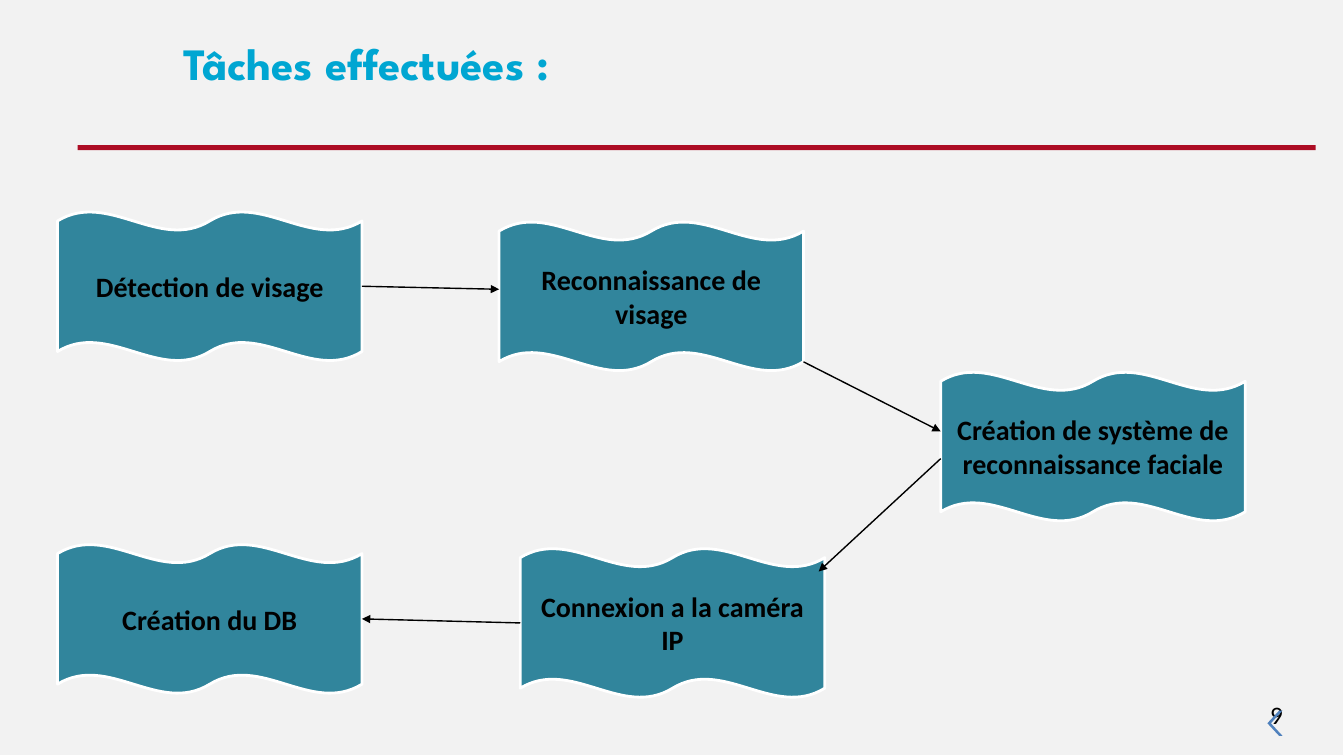
from lxml import etree
from pptx import Presentation
from pptx.dml.color import RGBColor
from pptx.enum.shapes import MSO_CONNECTOR, MSO_SHAPE
from pptx.enum.text import MSO_ANCHOR, MSO_AUTO_SIZE, PP_ALIGN
from pptx.oxml.ns import qn
from pptx.util import Inches, Pt

RECT, WAVE, CHEVRON = MSO_SHAPE.RECTANGLE, MSO_SHAPE.DOUBLE_WAVE, MSO_SHAPE.CHEVRON
STRAIGHT = MSO_CONNECTOR.STRAIGHT
MIDDLE, CENTER = MSO_ANCHOR.MIDDLE, PP_ALIGN.CENTER
GROW = MSO_AUTO_SIZE.SHAPE_TO_FIT_TEXT
LEFT, RIGHT = 1, 3

BLACK = RGBColor(0x00, 0x00, 0x00)
WHITE = RGBColor(0xFF, 0xFF, 0xFF)
GREY = RGBColor(0xF2, 0xF2, 0xF2)
TEAL = RGBColor(0x31, 0x85, 0x9C)
CYAN = RGBColor(0x00, 0xA6, 0xD2)
RED = RGBColor(0xAD, 0x0D, 0x25)
BLUE = RGBColor(0x4F, 0x81, 0xBD)

deck = Presentation()
deck.slide_width, deck.slide_height = Inches(13.33), Inches(7.5)
slide = deck.slides.add_slide(deck.slide_layouts[6])
shapes = slide.shapes


def add_form(kind, box, fill, width=0):
    """Add a filled shape, with a white outline if a width is given."""
    form = shapes.add_shape(kind, *map(Inches, box))
    form.shadow.inherit = False
    form.fill.solid()
    form.fill.fore_color.rgb = fill
    if width:
        form.line.color.rgb = WHITE
        form.line.width = Pt(width)
    else:
        form.line.fill.background()
    return form


def add_run(para, text, size, color, bold=True, face="Calibri"):
    run = para.add_run()
    run.text = text
    run.font.name, run.font.size, run.font.bold = face, Pt(size), bold
    run.font.color.rgb = color


# Backdrop, title and rule
add_form(RECT, (0, -0.12, 13.33, 7.62), GREY, 0.75)

title = shapes.add_textbox(Inches(1.72), Inches(0.45), Inches(6.46), Inches(0.48)).text_frame
title.word_wrap = True
title.auto_size = GROW
title.paragraphs[0].line_spacing = 0.7
add_run(title.paragraphs[0], "Tâches effectuées :", 32, CYAN, face="League Spartan")

add_form(RECT, (0.77, 1.44, 12.28, 0.05), RED)

# Page number
number = shapes.add_textbox(Inches(12.5), Inches(6.89), Inches(0.55), Inches(0.4)).text_frame
number.word_wrap = True
add_run(number.paragraphs[0], "9", 18, BLACK, bold=False)

mark = add_form(CHEVRON, (12.57, 7.05, 0.15, 0.25), BLUE)
mark.rotation = 180
mark.adjustments[0] = 0.77

# Tasks, in order
tasks = [
    ("Détection de visage", 0.57, 2.1),
    ("Reconnaissance de visage", 4.95, 2.2),
    ("Création de système de reconnaissance faciale", 9.33, 3.69),
    ("Connexion a la caméra IP", 5.16, 5.44),
    ("Création du DB", 0.57, 5.4),
]
waves = []
for text, left, top in tasks:
    wave = add_form(WAVE, (left, top, 3.02, 1.48), TEAL, 2)
    frame = wave.text_frame
    frame.word_wrap = True
    frame.vertical_anchor = MIDDLE
    frame.paragraphs[0].alignment = CENTER
    add_run(frame.paragraphs[0], text, 20, BLACK)
    waves.append(wave)

# Arrows from each task to the next
ends = [
    (3.59, 2.82, 4.95, 2.87),
    (7.97, 3.59, 9.33, 4.28),
    (9.33, 4.55, 8.12, 5.67),
    (5.15, 6.16, 3.59, 6.15),
]
arrows = []
for points in ends:
    arrow = shapes.add_connector(STRAIGHT, *map(Inches, points))
    arrow.line.color.rgb = BLACK
    arrow.line.width = Pt(1)
    etree.SubElement(arrow.line._get_or_add_ln(), qn("a:tailEnd"), type="triangle")
    etree.SubElement(arrow._element.spPr, qn("a:effectLst"))
    arrows.append(arrow)

arrows[0].begin_connect(waves[0], RIGHT)
arrows[3].begin_connect(waves[3], LEFT)
arrows[3].end_connect(waves[4], RIGHT)

deck.save("out.pptx")
